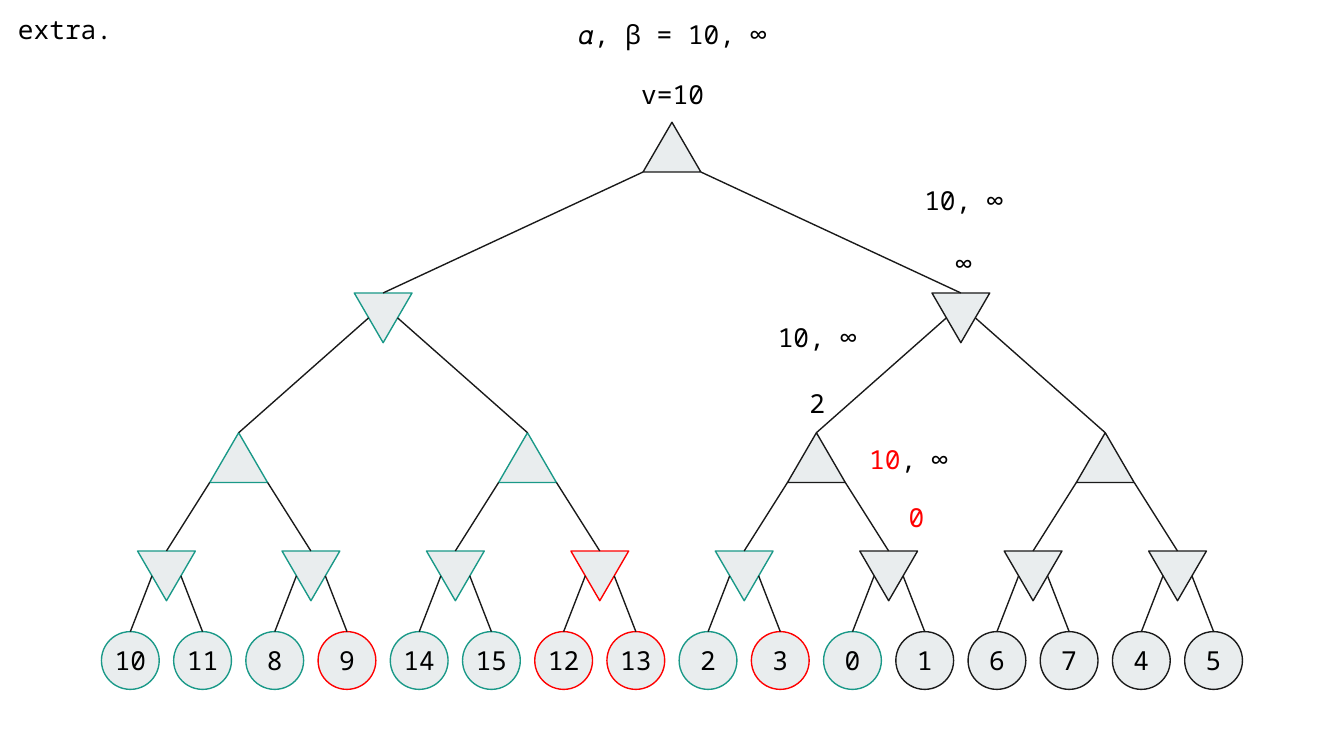
"""Draw a minimax game tree with its alpha-beta pruning state."""
from pptx import Presentation
from pptx.dml import color as c
from pptx.enum import shapes, text
from pptx.oxml import xmlchemy
from pptx.util import Inches, Pt

COLORS = {
    "ink": "000000",
    "fill": "E9EDEE",
    "open": "1A1A1A",
    "done": "1A9988",
    "pruned": "FF0000",
}
FONT = {"name": "Noto Sans Mono", "size": Pt(14)}
STATES = {"o": "open", "d": "done", "p": "pruned"}

NODE_WIDTH, TRIANGLE_HEIGHT = 0.43, 0.37
LEAF_TOP, FIRST_LEAF, LAST_LEAF = 4.7, 0.97, 9.03
LEAVES = [10, 11, 8, 9, 14, 15, 12, 13, 2, 3, 0, 1, 6, 7, 4, 5]
LEAF_STATES = "dddpddppdpdooooo"
LEVELS = [
    (4.1, True, "dddpdooo"),
    (3.22, False, "ddoo"),
    (2.18, True, "do"),
    (0.91, False, "o"),
]
LABELS = [
    (6.58, 3.63, 0.48, [("0", "pruned")]),
    (5.84, 2.78, 0.48, [("2", "ink")]),
    (6.93, 1.74, 0.48, [("∞", "ink")]),
    (4.62, 0.48, 0.77, [("v=10", "ink")]),
    (0, 0, 0.97, [("extra.", "ink")]),
    (6.26, 3.2, 1, [("10", "pruned"), (", ∞", "ink")]),
    (5.58, 2.29, 1, [("10, ∞", "ink")]),
    (6.67, 1.27, 1, [("10, ∞", "ink")]),
    (4.07, 0.04, 1.87, [("𝛼, β = 10, ∞", "ink")]),
]


def rgb(name):
    """Return the named colour."""
    return c.RGBColor.from_string(COLORS[name])


def set_all(target, values):
    """Set every attribute in values on the target."""
    for name, value in values.items():
        setattr(target, name, value)


def set_margins(frame, inset):
    """Give a text frame the same inset on all sides."""
    for side in ("left", "top", "right", "bottom"):
        setattr(frame, f"margin_{side}", Inches(inset))


def write(frame, spans):
    """Write coloured spans as one centred paragraph."""
    para = frame.paragraphs[0]
    para.alignment = text.PP_ALIGN.CENTER
    for words, name in spans:
        span = para.add_run()
        span.text = words
        set_all(span.font, FONT)
        span.font.color.rgb = rgb(name)


def set_line(line, name):
    """Give a line its colour and width."""
    line.color.rgb = rgb(name)
    line.width = Pt(0.75)


def add_node(page, kind, center, top, height, state):
    """Add a node outlined in the colour of its search state."""
    node = page.shapes.add_shape(
        kind, Inches(center - NODE_WIDTH / 2), Inches(top), Inches(NODE_WIDTH), Inches(height)
    )
    node.shadow.inherit = False
    node.fill.solid()
    node.fill.fore_color.rgb = rgb("fill")
    set_line(node.line, STATES[state])
    return node


def add_leaf(page, center, value, state):
    """Add a circle holding a leaf value."""
    leaf = add_node(page, shapes.MSO_SHAPE.OVAL, center, LEAF_TOP, NODE_WIDTH, state)
    frame = leaf.text_frame
    set_margins(frame, 0)
    set_all(frame, {"vertical_anchor": text.MSO_ANCHOR.MIDDLE, "word_wrap": True})
    write(frame, [(str(value), "ink")])


def add_edge(page, start, end):
    """Add a straight branch between two points."""
    edge = page.shapes.add_connector(
        shapes.MSO_CONNECTOR.STRAIGHT, *(Inches(value) for value in (*start, *end))
    )
    set_line(edge.line, "open")
    edge._element.spPr.append(xmlchemy.OxmlElement("a:effectLst"))


def add_level(page, children, child_top, top, is_min, states):
    """Add one row of triangles with branches and return their centres."""
    centers = [(left + right) / 2 for left, right in zip(children[::2], children[1::2])]
    reach = NODE_WIDTH / 4 if is_min else NODE_WIDTH / 2
    drop = TRIANGLE_HEIGHT / 2 if is_min else TRIANGLE_HEIGHT
    for index, (center, state) in enumerate(zip(centers, states)):
        node = add_node(
            page, shapes.MSO_SHAPE.ISOSCELES_TRIANGLE, center, top, TRIANGLE_HEIGHT, state
        )
        node.rotation = 180 if is_min else 0
        for child, side in zip(children[2 * index:2 * index + 2], (-1, 1)):
            add_edge(page, (child, child_top), (center + side * reach, top + drop))
    return centers


def add_label(page, left, top, width, spans):
    """Add a centred text box."""
    box = page.shapes.add_textbox(Inches(left), Inches(top), Inches(width), Inches(0.44))
    frame = box.text_frame
    set_margins(frame, 0.1)
    set_all(frame, {"word_wrap": True, "auto_size": text.MSO_AUTO_SIZE.SHAPE_TO_FIT_TEXT})
    write(frame, spans)


def main():
    """Build the deck and save it."""
    deck = Presentation()
    set_all(deck, {"slide_width": Inches(10), "slide_height": Inches(10 * 9 / 16)})
    page = deck.slides.add_slide(deck.slide_layouts[6])

    gap = (LAST_LEAF - FIRST_LEAF) / (len(LEAVES) - 1)
    centers = [FIRST_LEAF + index * gap for index in range(len(LEAVES))]
    for center, value, state in zip(centers, LEAVES, LEAF_STATES):
        add_leaf(page, center, value, state)

    child_top = LEAF_TOP
    for top, is_min, states in LEVELS:
        centers = add_level(page, centers, child_top, top, is_min, states)
        child_top = top

    for label in LABELS:
        add_label(page, *label)
    deck.save("out.pptx")


if __name__ == "__main__":
    main()
